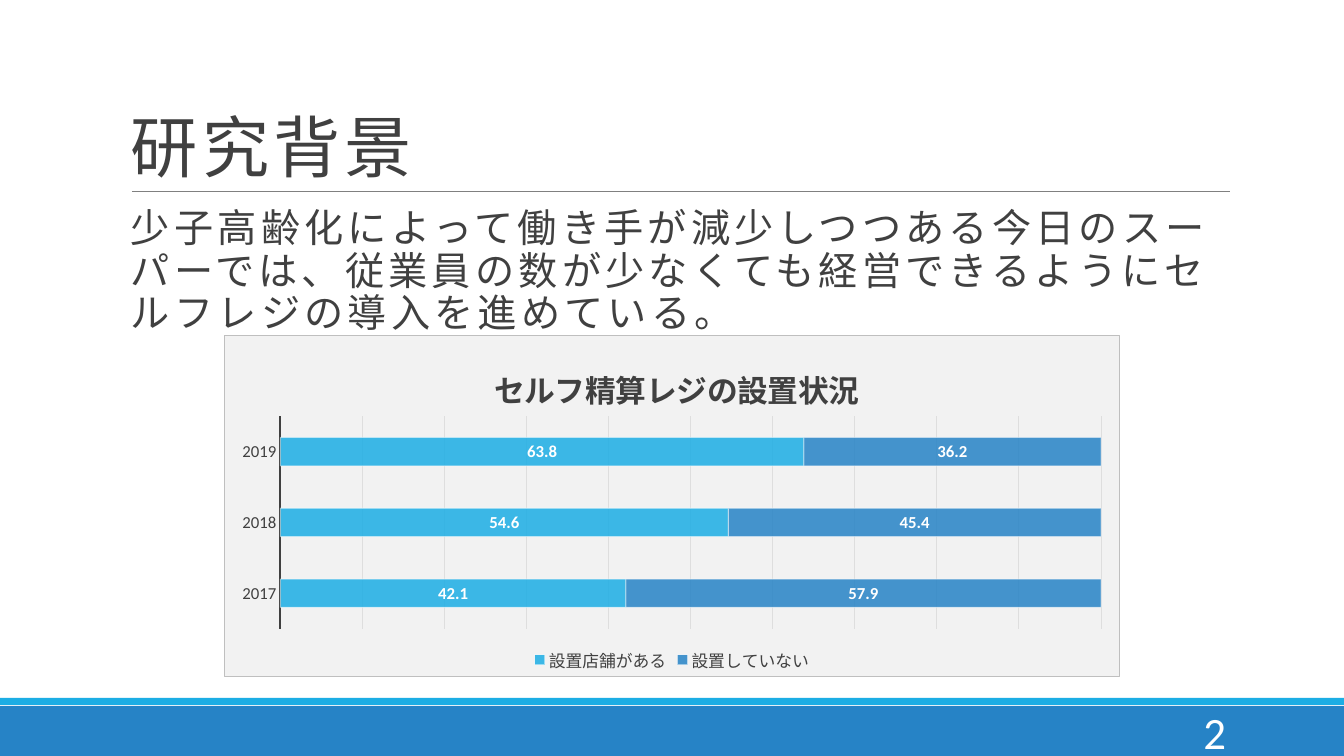
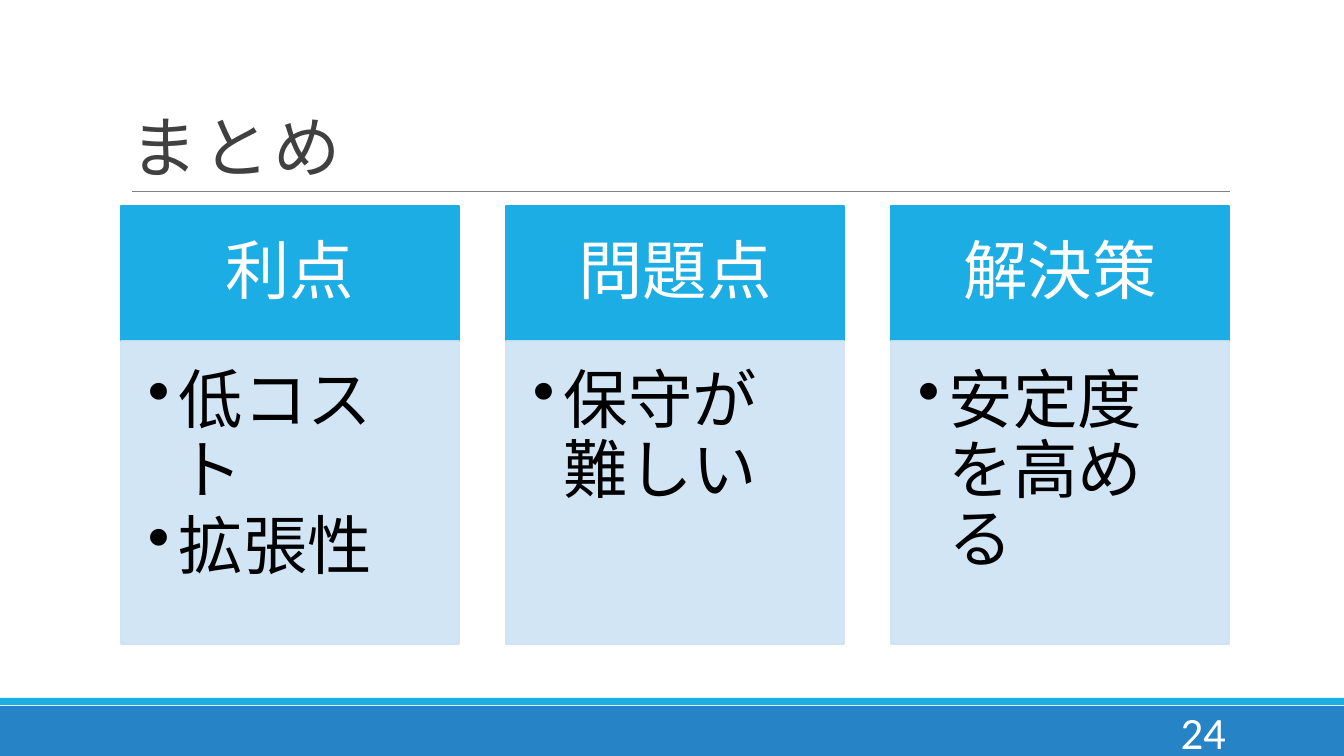
"""Build a research background slide with a chart and a summary slide with three cards."""
from lxml import etree
from pptx import Presentation
from pptx.chart.data import CategoryChartData
from pptx.dml.color import RGBColor
from pptx.enum.chart import XL_CHART_TYPE, XL_LABEL_POSITION, XL_LEGEND_POSITION, XL_TICK_MARK
from pptx.enum.shapes import MSO_CONNECTOR, MSO_SHAPE
from pptx.enum.text import MSO_ANCHOR, PP_ALIGN
from pptx.oxml import parse_xml
from pptx.oxml.ns import nsdecls, qn
from pptx.util import Emu, Pt

PX = 12192000 / 1344
FONT = "Calibri"
BLUE = RGBColor(0x26, 0x83, 0xC6)
SKY = RGBColor(0x1C, 0xAD, 0xE4)
PALE = RGBColor(0xCD, 0xE3, 0xF5)
GREY = RGBColor(0x80, 0x80, 0x80)
DARK = RGBColor(0x40, 0x40, 0x40)
GRID = RGBColor(0xDE, 0xDE, 0xDE)
BLACK = RGBColor(0, 0, 0)
WHITE = RGBColor(0xFF, 0xFF, 0xFF)
RECTANGLE = MSO_SHAPE.RECTANGLE
STRAIGHT = MSO_CONNECTOR.STRAIGHT
TOP, MIDDLE, BOTTOM = MSO_ANCHOR.TOP, MSO_ANCHOR.MIDDLE, MSO_ANCHOR.BOTTOM
LEFT, CENTER, RIGHT = PP_ALIGN.LEFT, PP_ALIGN.CENTER, PP_ALIGN.RIGHT
BAR_STACKED_100 = XL_CHART_TYPE.BAR_STACKED_100
LABEL_CENTER = XL_LABEL_POSITION.CENTER
LEGEND_BOTTOM = XL_LEGEND_POSITION.BOTTOM
NO_TICK = XL_TICK_MARK.NONE


def add_box(slide, box, text="", size=18, color=DARK, fill=None, line=None, anchor=TOP,
            align=LEFT, insets=(10, 5, 10, 5), line_spacing=1.0, spacing=0):
    """Add a filled rectangle, or a text box when there is no fill."""
    lengths = [Emu(round(length * PX)) for length in box]
    if fill is None:
        shape = slide.shapes.add_textbox(*lengths)
    else:
        shape = slide.shapes.add_shape(RECTANGLE, *lengths)
        shape.shadow.inherit = False
        shape.fill.solid()
        shape.fill.fore_color.rgb = fill
        if line is None:
            shape.line.fill.background()
        else:
            shape.line.color.rgb = line
            shape.line.width = Pt(1.25)
    if not text:
        return shape
    text_frame = shape.text_frame
    text_frame.text = text
    text_frame.word_wrap = True
    text_frame.vertical_anchor = anchor
    (text_frame.margin_left, text_frame.margin_top, text_frame.margin_right,
     text_frame.margin_bottom) = [Emu(round(inset * PX)) for inset in insets]
    for paragraph in text_frame.paragraphs:
        paragraph.alignment = align
        paragraph.line_spacing = line_spacing
        for run in paragraph.runs:
            run.font.name = FONT
            run.font.size = Pt(size)
            run.font.color.rgb = color
            if spacing:
                run.font._element.set("spc", str(spacing * 100))
    return shape


def set_opacity(properties, *percents):
    """Set the opacity of each solid colour of a shape, fill first and line second."""
    for color, percent in zip(properties.iter(qn("a:srgbClr")), percents):
        etree.SubElement(color, qn("a:alpha")).set("val", str(percent * 1000))


presentation = Presentation()
presentation.slide_width = Emu(round(1344 * PX))
presentation.slide_height = Emu(round(756 * PX))

slides = []
for title, number in [("研究背景", "2"), ("まとめ", "24")]:
    slide = presentation.slides.add_slide(presentation.slide_layouts[6])
    slides.append(slide)
    add_box(slide, (0, 706, 1344, 50), fill=BLUE)
    add_box(slide, (0, 698, 1344, 7), fill=SKY)
    rule = slide.shapes.add_connector(
        STRAIGHT, *[Emu(round(length * PX)) for length in (132, 191, 1230, 191)])
    rule.line.color.rgb = GREY
    rule.line.width = Pt(0.5)
    etree.SubElement(rule._element.spPr, qn("a:effectLst"))
    add_box(slide, (121, 31, 1109, 160), title, 48, anchor=BOTTOM, line_spacing=0.85, spacing=3)
    add_box(slide, (1092, 712, 144, 40), number, 32, WHITE, anchor=MIDDLE, align=RIGHT)
background_slide, summary_slide = slides

add_box(background_slide, (121, 204, 1109, 444),
        "少子高齢化によって働き手が減少しつつある今日のスーパーでは、従業員の数が少なくても"
        "経営できるようにセルフレジの導入を進めている。",
        28, insets=(10, 5, 0, 5), line_spacing=0.9, spacing=3)

chart_data = CategoryChartData()
chart_data.categories = ["2017", "2018", "2019"]
chart_data.add_series("設置店舗がある", (42.1, 54.6, 63.8))
chart_data.add_series("設置していない", (57.9, 45.4, 36.2))
chart = background_slide.shapes.add_chart(
    BAR_STACKED_100, *[Emu(round(length * PX)) for length in (224, 335, 896, 342)],
    chart_data).chart
chart.font.name = FONT
chart.font.size = Pt(12)
chart.font.color.rgb = DARK

chart.has_title = True
chart_title = chart.chart_title
chart_title.include_in_layout = False
chart_title.text_frame.text = "セルフ精算レジの設置状況"
title_font = chart_title.text_frame.paragraphs[0].runs[0].font
title_font.name = FONT
title_font.size = Pt(22)
title_font.bold = True
title_font.color.rgb = DARK

chart.has_legend = True
chart.legend.position = LEGEND_BOTTOM
chart.legend.include_in_layout = False
chart.legend.font.name = FONT
chart.legend.font.size = Pt(12)
chart.legend.font.color.rgb = DARK

category_axis = chart.category_axis
category_axis.major_tick_mark = NO_TICK
category_axis.format.line.color.rgb = DARK
category_axis.format.line.width = Pt(1.5)
category_axis.tick_labels.font.name = FONT
category_axis.tick_labels.font.size = Pt(12)
category_axis.tick_labels.font.color.rgb = DARK
value_axis = chart.value_axis
value_axis.visible = False
value_axis.has_major_gridlines = True
value_axis.major_gridlines.format.line.color.rgb = GRID
value_axis.major_gridlines.format.line.width = Pt(0.75)

plot = chart.plots[0]
plot.gap_width = 150
plot.overlap = 100
plot.vary_by_categories = False
for series, color in zip(plot.series, (SKY, BLUE)):
    series.format.fill.solid()
    series.format.fill.fore_color.rgb = color
    series.format.line.color.rgb = WHITE
    series.format.line.width = Pt(0.75)
    labels = series.data_labels
    labels.show_value = True
    labels.position = LABEL_CENTER
    labels.font.name = FONT
    labels.font.size = Pt(12)
    labels.font.bold = True
    labels.font.color.rgb = WHITE
for series_element in chart.element.iter(qn("c:ser")):
    set_opacity(series_element.find(qn("c:spPr")), 85, 50)

chart_element = chart.element.find(qn("c:chart"))
chart_element.addnext(parse_xml(
    f'<c:spPr {nsdecls("c", "a")}><a:solidFill><a:srgbClr val="F2F2F2"/></a:solidFill>'
    '<a:ln w="9525"><a:solidFill><a:srgbClr val="BFBFBF"/></a:solidFill></a:ln></c:spPr>'))
plot_area = chart_element.find(qn("c:plotArea"))
for layout in plot_area.findall(qn("c:layout")):
    plot_area.remove(layout)
plot_area.insert(0, parse_xml(
    f'<c:layout {nsdecls("c")}><c:manualLayout><c:layoutTarget val="inner"/>'
    '<c:xMode val="edge"/><c:yMode val="edge"/><c:x val="0.0625"/><c:y val="0.237"/>'
    '<c:w val="0.917"/><c:h val="0.623"/></c:manualLayout></c:layout>'))
title_element = chart_element.find(qn("c:title"))
for layout in title_element.findall(qn("c:layout")):
    title_element.remove(layout)
title_element.find(qn("c:tx")).addnext(parse_xml(
    f'<c:layout {nsdecls("c")}><c:manualLayout><c:xMode val="edge"/><c:yMode val="edge"/>'
    '<c:x val="0.295"/><c:y val="0.065"/></c:manualLayout></c:layout>'))

cards = [
    ("利点", "低コスト\n拡張性"),
    ("問題点", "保守が難しい"),
    ("解決策", "安定度を高める"),
]
for column, (heading, points) in enumerate(cards):
    left = 121 + 385 * column
    add_box(summary_slide, (left, 206, 338, 135), heading, 46, WHITE, SKY, SKY, MIDDLE, CENTER,
            (36, 20, 36, 20), 0.9)
    card = add_box(summary_slide, (left, 341, 338, 303), points, 46, BLACK, PALE, PALE,
                   insets=(27, 27, 36, 40), line_spacing=0.9)
    set_opacity(card._element.spPr, 90, 90)
    for paragraph in card.text_frame.paragraphs:
        paragraph.space_after = Pt(5)
        properties = paragraph._p.get_or_add_pPr()
        properties.set("marL", str(round(31 * PX)))
        properties.set("indent", str(round(-31 * PX)))
        etree.SubElement(properties, qn("a:buChar")).set("char", "•")

presentation.save("out.pptx")
